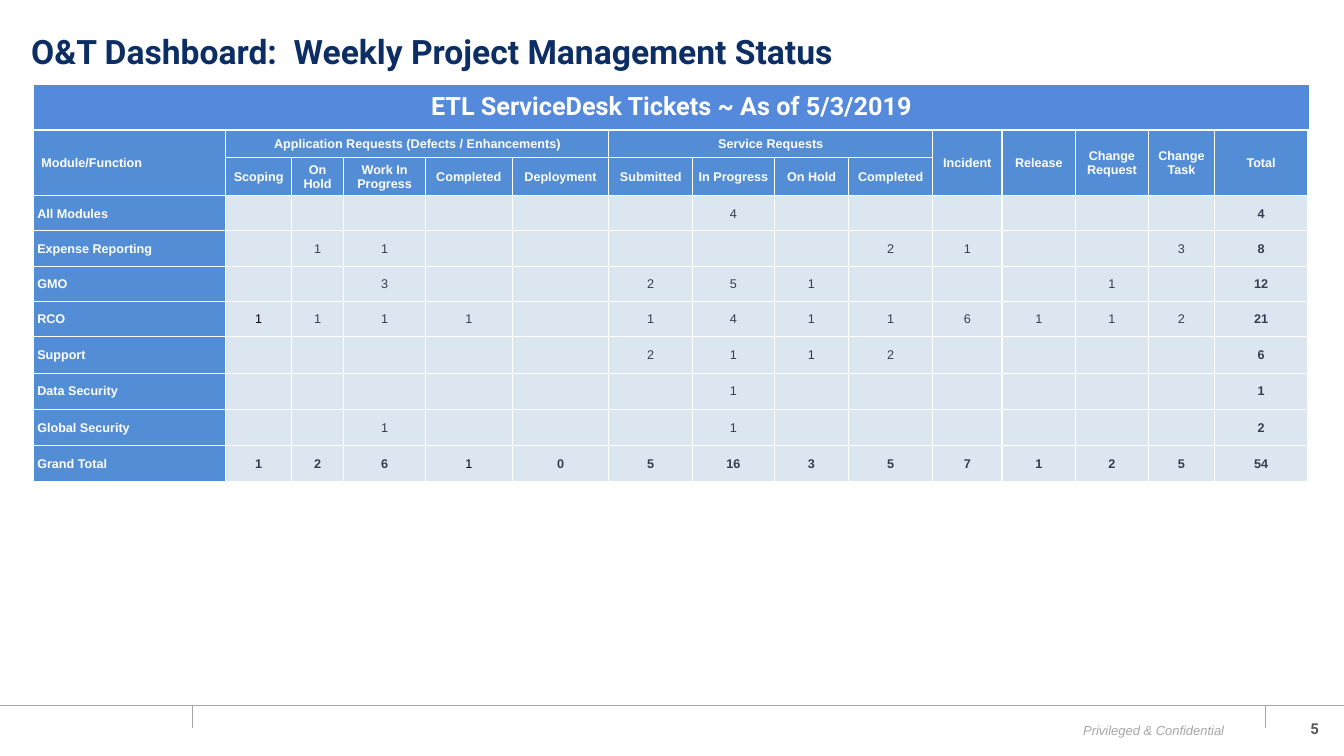
"""Build the weekly ticket status slide with its banner, ticket grid and footer."""
import pptx
import pptx.util
import pptx.dml.color
import pptx.enum.shapes
import pptx.enum.text
import pptx.oxml
import pptx.oxml.ns

Inches, Pt = pptx.util.Inches, pptx.util.Pt
ALIGN, ANCHOR = pptx.enum.text.PP_ALIGN, pptx.enum.text.MSO_ANCHOR

TITLE = "O&T Dashboard:  Weekly Project Management Status"
BANNER = "ETL ServiceDesk Tickets ~ As of 5/3/2019"
GROUPS = [
    ("Application Requests (Defects / Enhancements)",
     ["Scoping", "On\nHold", "Work In Progress", "Completed", "Deployment"]),
    ("Service Requests", ["Submitted", "In Progress", "On Hold", "Completed"]),
]
SINGLES = ["Incident", "Release", "Change Request", "Change Task", "Total"]
TICKETS = {
    "All Modules": [0, 0, 0, 0, 0, 0, 4, 0, 0, 0, 0, 0, 0],
    "Expense Reporting": [0, 1, 1, 0, 0, 0, 0, 0, 2, 1, 0, 0, 3],
    "GMO": [0, 0, 3, 0, 0, 2, 5, 1, 0, 0, 0, 1, 0],
    "RCO": [1, 1, 1, 1, 0, 1, 4, 1, 1, 6, 1, 1, 2],
    "Support": [0, 0, 0, 0, 0, 2, 1, 1, 2, 0, 0, 0, 0],
    "Data Security": [0, 0, 0, 0, 0, 0, 1, 0, 0, 0, 0, 0, 0],
    "Global Security": [0, 0, 1, 0, 0, 0, 1, 0, 0, 0, 0, 0, 0],
}
PLAIN_BLACK = {("RCO", 1), ("Grand Total", 4)}
WIDTHS = [1.91, 0.65, 0.52, 0.81, 0.86, 0.96, 0.83, 0.81, 0.74, 0.83, 0.69, 0.73, 0.72, 0.66, 0.92]
HEIGHTS = [0.27, 0.38] + [0.35] * 4 + [0.36] * 4
FOOTER_LINES = [(0, 7, 13.33, 7), (1.91, 7, 1.91, 7.22), (12.55, 7, 12.55, 7.22)]
FOOTER_TEXTS = [
    ("Privileged & Confidential", (10.6, 7.12, 1.64, 0.26), dict(size=9.3, color="A6A6A6", italic=True)),
    ("5", (12.77, 7.09, 0.41, 0.28), dict(size=10.7, color="595959", bold=True, font="Roboto")),
]
WHITE, HEADER, PALE, INK, GRAY = "FFFFFF", "538DD5", "DCE6F1", "333F50", "A6A6A6"


def rgb(value):
    """Turn a hex string into a colour."""
    return pptx.dml.color.RGBColor.from_string(value)


def write(frame, text, size, color, align=ALIGN.LEFT, font="Arial", bold=False, italic=False):
    """Set the text of a frame and format its runs."""
    frame.text = text
    for para in frame.paragraphs:
        para.alignment = align
        for span in para.runs:
            span.font.name, span.font.size = font, Pt(size)
            span.font.bold, span.font.italic = bold, italic
            span.font.color.rgb = rgb(color)


def paint(cell, fill, borders):
    """Give a cell white borders of the given widths and a solid fill."""
    props = cell._tc.get_or_add_tcPr()
    for side, width in zip("LRTB", borders):
        props.append(pptx.oxml.parse_xml(
            f'<a:ln{side} {pptx.oxml.ns.nsdecls("a")} w="{Pt(width)}"><a:solidFill>'
            f'<a:srgbClr val="{WHITE}"/></a:solidFill></a:ln{side}>'))
    cell.fill.solid()
    cell.fill.fore_color.rgb = rgb(fill)
    cell.vertical_anchor = ANCHOR.MIDDLE


def add_grid(page, top, widths, heights):
    """Add an unbanded table with the given column widths and row heights."""
    grid = page.shapes.add_table(len(heights), len(widths), Inches(0.33), Inches(top),
                                 Inches(sum(widths)), Inches(sum(heights))).table
    grid.first_row = grid.horz_banding = False
    for column, width in zip(grid.columns, widths):
        column.width = Inches(width)
    for row, height in zip(grid.rows, heights):
        row.height = Inches(height)
    return grid


def add_footer(page):
    """Add the footer rules, the notice and the page number."""
    for x1, y1, x2, y2 in FOOTER_LINES:
        rule = page.shapes.add_connector(pptx.enum.shapes.MSO_CONNECTOR.STRAIGHT,
                                         Inches(x1), Inches(y1), Inches(x2), Inches(y2))
        rule.line.color.rgb, rule.line.width = rgb(GRAY), Pt(0.25)
        rule._element.spPr.append(pptx.oxml.parse_xml(f'<a:effectLst {pptx.oxml.ns.nsdecls("a")}/>'))
    for text, place, style in FOOTER_TEXTS:
        box = page.shapes.add_textbox(*map(Inches, place))
        box.text_frame.word_wrap = False
        write(box.text_frame, text, align=ALIGN.RIGHT, **style)


def fill_headers(grid):
    """Merge and label the two header rows."""
    def label(row, column, text, align=ALIGN.CENTER):
        write(grid.cell(row, column).text_frame, text, 9, WHITE, align, bold=True)

    label(0, 0, "Module/Function", ALIGN.LEFT)
    grid.cell(0, 0).merge(grid.cell(1, 0))
    grid.cell(0, 0).margin_left = Inches(0.08)
    column = 1
    for group, stages in GROUPS:
        label(0, column, group)
        grid.cell(0, column).merge(grid.cell(0, column + len(stages) - 1))
        for offset, stage in enumerate(stages):
            label(1, column + offset, stage)
        column += len(stages)
    for offset, single in enumerate(SINGLES):
        label(0, column + offset, single)
        grid.cell(0, column + offset).merge(grid.cell(1, column + offset))


def fill_tickets(grid):
    """Write the ticket counts with their row and column totals."""
    rows = [(module, counts + [sum(counts)]) for module, counts in TICKETS.items()]
    rows.append(("Grand Total", [sum(column) for column in zip(*(counts for _, counts in rows))]))
    for r, (module, counts) in enumerate(rows, 2):
        write(grid.cell(r, 0).text_frame, module, 9, WHITE, bold=True)
        grid.cell(r, 0).margin_left = Inches(0.04)
        grand = module == "Grand Total"
        for c, count in enumerate(counts, 1):
            if count or grand:
                black = (module, c) in PLAIN_BLACK
                bold = (grand or c == len(counts)) and not black
                write(grid.cell(r, c).text_frame, str(count), 9, "000000" if black else INK,
                      ALIGN.CENTER, bold=bold)


deck = pptx.Presentation()
deck.slide_width, deck.slide_height = Inches(13.33), Inches(7.5)
page = deck.slides.add_slide(deck.slide_layouts[5])
add_footer(page)

title = page.shapes.title
title.left, title.top, title.width, title.height = map(Inches, (0.21, 0.22, 12, 0.62))
write(title.text_frame, TITLE, 24, "0C2E65", font="Roboto", bold=True)
title.text_frame.vertical_anchor = ANCHOR.MIDDLE
title.text_frame.paragraphs[0].line_spacing = 0.9

banner = add_grid(page, 0.84, [12.66], [0.45]).cell(0, 0)
write(banner.text_frame, BANNER, 18, WHITE, ALIGN.CENTER, "Roboto", bold=True)
paint(banner, "5589DB", (1, 1, 1, 1))

tickets = add_grid(page, 1.29, WIDTHS, HEIGHTS)
for r in range(len(HEIGHTS)):
    for c in range(len(WIDTHS)):
        cell = tickets.cell(r, c)
        cell.margin_left = cell.margin_right = cell.margin_top = Inches(0.01)
        cell.margin_bottom = 0
        paint(cell, HEADER if r < 2 or c == 0 else PALE, (1, 1, 0.5, 0.5))
fill_headers(tickets)
fill_tickets(tickets)

deck.save("out.pptx")
